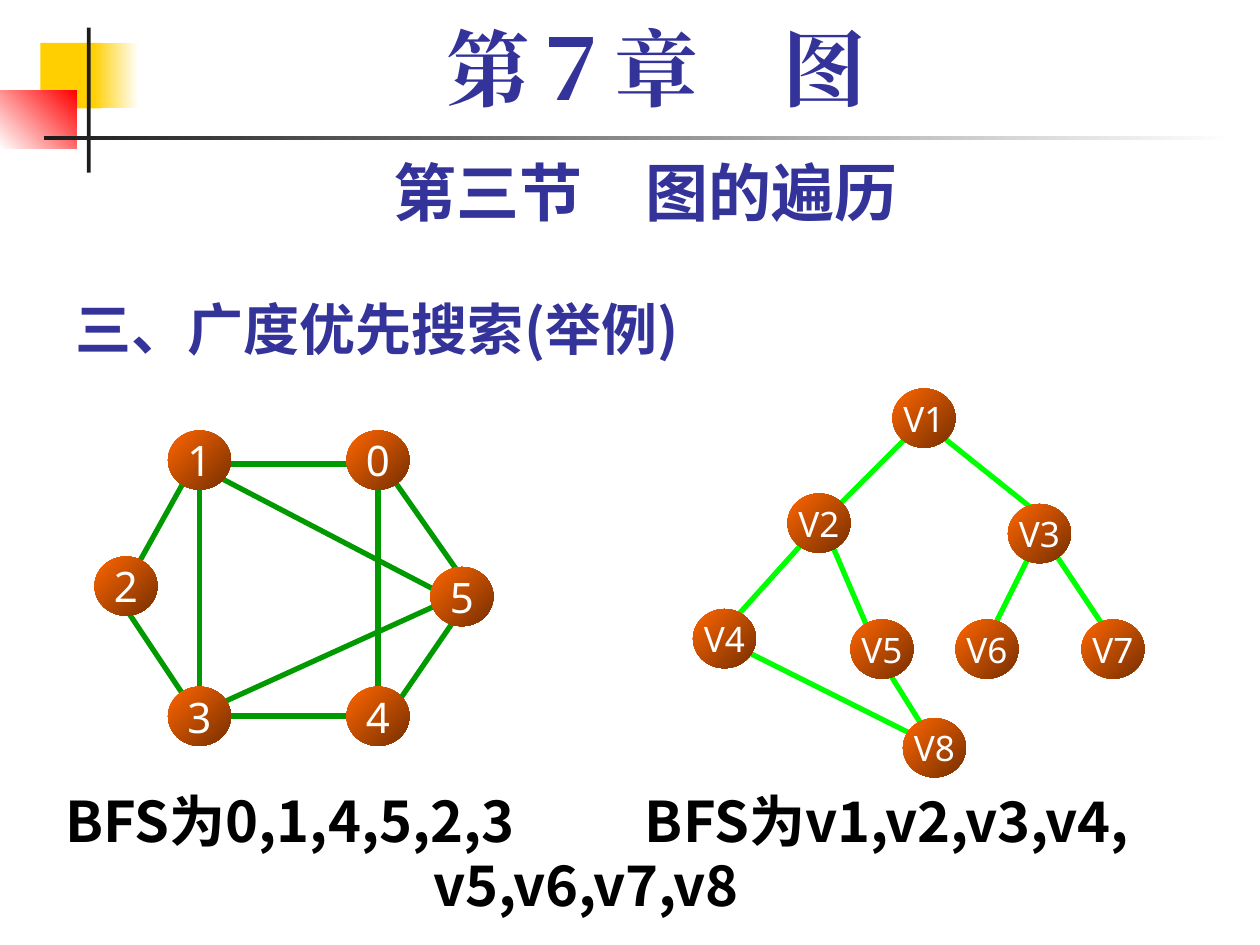
from lxml import etree
from pptx import Presentation
from pptx import util as u
from pptx.dml.color import RGBColor
from pptx.enum import shapes, text
from pptx.oxml.ns import qn

CELL = u.Inches(1) / 12
MID, LEFT = text.PP_ALIGN.CENTER, text.PP_ALIGN.LEFT


def paint(part, colours, angle=0):
    if len(colours) == 1:
        part.fill.solid()
        part.fill.fore_color.rgb = RGBColor.from_string(colours[0])
    else:
        part.fill.gradient()
        part.fill.gradient_angle = angle
        for stop, colour in zip(part.fill.gradient_stops, colours):
            stop.color.rgb = RGBColor.from_string(colour)
    part.line.fill.background()
    part.shadow.inherit = False


def write(part, lines, face, size, colour, bold, align, **frame_format):
    frame = part.text_frame
    frame.text = "\n".join(lines)
    settings = {"word_wrap": True, "auto_size": text.MSO_AUTO_SIZE.NONE, **frame_format}
    for key, value in settings.items():
        setattr(frame, key, value)
    for paragraph in frame.paragraphs:
        paragraph.alignment = align
        for run in paragraph.runs:
            for key, value in {"name": face, "size": u.Pt(size), "bold": bold}.items():
                setattr(run.font, key, value)
            run.font.color.rgb = RGBColor.from_string(colour)
            etree.SubElement(run.font._element, qn("a:ea")).set("typeface", face)
    return frame


deck = Presentation()
deck.slide_width, deck.slide_height = u.Inches(10), u.Inches(7.5)
slide = deck.slides.add_slide(deck.slide_layouts[5])

ornaments = [
    ((0.32, 0.34, 0.48, 0.52), ["FFCF01"], 0),
    ((0.74, 0.34, 0.36, 0.52), ["FFCF01", "FFFFFF"], 0),
    ((0, 0.72, 0.61, 0.46), ["FFFFFF", "FF0000"], 45),
    ((0.69, 0.22, 0.03, 1.15), ["1C1C1C"], 0),
    ((0.35, 1.08, 9.45, 0.03), ["1C1C1C", "FFFFFF"], 0),
]
for box, colours, angle in ornaments:
    ornament = slide.shapes.add_shape(shapes.MSO_SHAPE.RECTANGLE, *map(u.Inches, box))
    paint(ornament, colours, angle)

heading = slide.shapes.title
for key, value in {"left": 0.5, "top": 2.17, "width": 8.25, "height": 0.75}.items():
    setattr(heading, key, u.Inches(value))
write(heading, ["三、广度优先搜索(举例)"], "Noto Sans CJK SC", 32, "333399", True, LEFT,
      vertical_anchor=text.MSO_ANCHOR.BOTTOM)

section = slide.shapes.add_textbox(*map(u.Inches, (0.5, 1.17, 9.25, 0.7)))
write(section, ["第三节\u3000图的遍历".replace("\u3000", "　")], "Noto Sans", 36, "333399", True, MID)

orders = slide.shapes.add_textbox(*map(u.Inches, (0.42, 6.25, 9.58, 1.25)))
order_lines = write(orders, ["BFS为0,1,4,5,2,3\tBFS为v1,v2,v3,v4,", "v5,v6,v7,v8"],
                    "Noto Sans CJK SC", 32, "000000", True, LEFT).paragraphs
for line in order_lines:
    line.line_spacing = 0.9
    line.space_before = u.Pt(2)
first, second = (line._p.get_or_add_pPr() for line in order_lines)
tabs = etree.SubElement(first, qn("a:tabLst"))
etree.SubElement(tabs, qn("a:tab"), pos=str(u.Inches(4.6)), algn="l")
second.set("marL", str(u.Inches(2.92)))

chapter = slide.shapes.add_textbox(*map(u.Inches, (0.67, 0.17, 9.08, 0.83)))
write(chapter, ["第７章　图"], "Times New Roman", 48, "333399", True, MID).paragraphs[0].line_spacing = 0.9

graphs = [
    ("009900", 24,
     [(34, 44.2, 22, 44.2), (36, 46, 36, 66), (37, 45, 44, 55), (18, 45, 13, 54),
      (19, 67, 19, 46), (43, 57, 20, 45), (18, 67, 12, 58), (35, 68.2, 20, 68.2),
      (43, 57, 21, 67), (44, 58, 37, 68.2)],
     {"1": (16, 41), "3": (16, 65.4), "2": (9, 53), "5": (41, 54), "4": (33, 65.4), "0": (33, 41)}),
    ("00FF00", 20,
     [(78, 50, 69, 60), (87, 41, 78, 50), (84, 63, 78, 49), (89, 71, 69, 61),
      (89, 71, 84, 63), (89, 41, 99, 49), (99, 51, 94, 61), (100, 52, 106, 61)],
     {"V1": (85, 37), "V3": (96, 48), "V2": (75, 47), "V5": (81, 59), "V4": (66, 58),
      "V6": (91, 59), "V7": (103, 59), "V8": (86, 68.4)}),
]
for edge_colour, label_size, edges, nodes in graphs:
    graph = slide.shapes.add_group_shape().shapes
    for ends in edges:
        edge = graph.add_connector(shapes.MSO_CONNECTOR.STRAIGHT, *(int(end * CELL) for end in ends))
        edge.line.color.rgb = RGBColor.from_string(edge_colour)
        edge.line.width = u.Pt(3)
        etree.SubElement(edge._element.spPr, qn("a:effectLst"))
    for label, (column, row) in nodes.items():
        node = graph.add_shape(shapes.MSO_SHAPE.OVAL, int(column * CELL), int(row * CELL),
                               u.Inches(0.5), u.Inches(0.47))
        paint(node, ["FF6600", "762F00"], 315)
        write(node, [label], "Noto Sans", label_size, "FFFFFF", False, MID, word_wrap=False,
              margin_left=0, margin_right=0, vertical_anchor=text.MSO_ANCHOR.MIDDLE)

deck.save("out.pptx")
